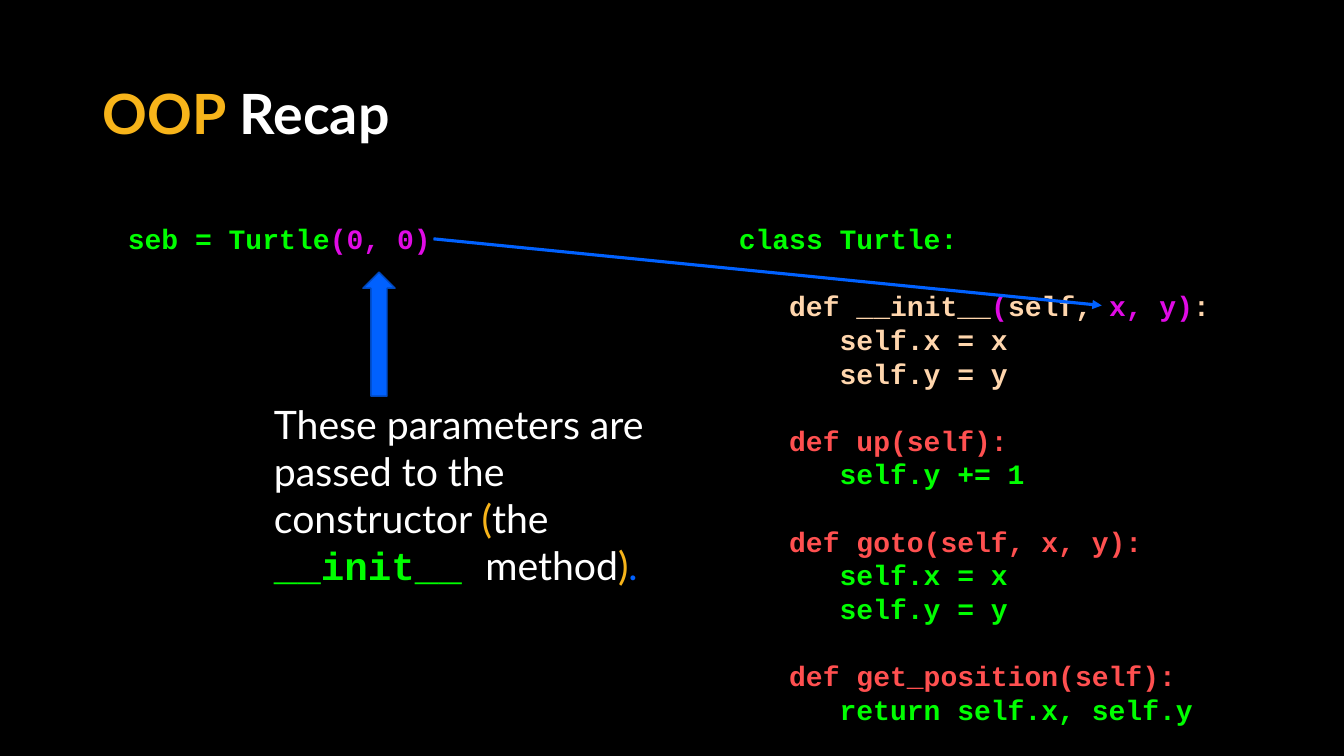
from lxml import etree
from pptx import Presentation
from pptx.dml.color import RGBColor
from pptx.enum.shapes import MSO_CONNECTOR, MSO_SHAPE
from pptx.enum.text import MSO_ANCHOR, PP_ALIGN
from pptx.oxml.ns import qn
from pptx.util import Pt

UP_ARROW = MSO_SHAPE.UP_ARROW
STRAIGHT = MSO_CONNECTOR.STRAIGHT
MIDDLE, TOP = MSO_ANCHOR.MIDDLE, MSO_ANCHOR.TOP
LEFT = PP_ALIGN.LEFT

BLACK, WHITE, AMBER = "000000", "FFFFFF", "F7B41A"
GREEN, MAGENTA, PEACH, RED = "00FF00", "E00BE5", "FFD6AD", "FF5050"
BLUE, DARK_BLUE = "0061FF", "0048BD"
PROSE, CODE = "Lato", "Courier New"

CODE_SIZE, CODE_LINE, CODE_INDENT = 20, 24, 36

# Each line: indent level, blank lines before, runs of text and colour
CALL = [(0, 0, [("seb = Turtle", GREEN), ("(0, 0)", MAGENTA)])]
TURTLE_CLASS = [
    (0, 0, [("class Turtle:", GREEN)]),
    (1, 1, [("def __init__", PEACH), ("(", MAGENTA), ("self, ", PEACH),
            ("x, y)", MAGENTA), (":", PEACH)]),
    (2, 0, [("self.x = x", PEACH)]),
    (2, 0, [("self.y = y", PEACH)]),
    (1, 1, [("def up(self):", RED)]),
    (2, 0, [("self.y += 1", GREEN)]),
    (1, 1, [("def goto(self, x, y):", RED)]),
    (2, 0, [("self.x = x", GREEN)]),
    (2, 0, [("self.y = y", GREEN)]),
    (1, 1, [("def get_position(self):", RED)]),
    (2, 0, [("return self.x, self.y", GREEN)]),
]


def color(hex_text):
    return RGBColor.from_string(hex_text)


def add_span(para, text, hex_text, size, font=PROSE, bold=False):
    span = para.add_run()
    span.text = text
    span.font.name = font
    span.font.size = Pt(size)
    span.font.bold = bold
    span.font.color.rgb = color(hex_text)


def add_box(page, left, top, width, height):
    """Add a wrapping text box and return its text frame."""
    box = page.shapes.add_textbox(Pt(left), Pt(top), Pt(width), Pt(height))
    box.text_frame.word_wrap = True
    box.text_frame.vertical_anchor = TOP
    return box.text_frame


def add_code(page, lines, left, top, width, height):
    frame = add_box(page, left, top, width, height)
    for number, (level, blanks, spans) in enumerate(lines):
        para = frame.add_paragraph() if number else frame.paragraphs[0]
        para.line_spacing = Pt(CODE_LINE)
        para.space_before = Pt(blanks * CODE_LINE)
        para._p.get_or_add_pPr().set("marL", str(Pt(level * CODE_INDENT)))
        for text, hex_text in spans:
            add_span(para, text, hex_text, CODE_SIZE, CODE, True)


def set_title(page):
    title = page.shapes.title
    title.left, title.top = Pt(66), Pt(57.6)
    title.width, title.height = Pt(828), Pt(51.8)
    title.text_frame.vertical_anchor = MIDDLE
    para = title.text_frame.paragraphs[0]
    para.alignment = LEFT
    para.line_spacing = 0.9
    for text, hex_text in [("OOP", AMBER), (" Recap", WHITE)]:
        add_span(para, text, hex_text, 39.6, bold=True)


def add_explanation(page):
    para = add_box(page, 188.6, 282.2, 291.6, 143.3).paragraphs[0]
    for text, hex_text in [
        ("These parameters are passed to the constructor ", WHITE),
        ("(", AMBER),
        ("the ", WHITE),
    ]:
        add_span(para, text, hex_text, 28)
    add_span(para, "__init__ ", GREEN, 28, CODE, True)
    for text, hex_text in [("method", WHITE), (")", AMBER), (".", BLUE)]:
        add_span(para, text, hex_text, 28)


def add_block_arrow(page, left, top, width, height):
    arrow = page.shapes.add_shape(UP_ARROW, Pt(left), Pt(top), Pt(width), Pt(height))
    arrow.shadow.inherit = False
    arrow.fill.solid()
    arrow.fill.fore_color.rgb = color(BLUE)
    arrow.line.color.rgb = color(DARK_BLUE)
    arrow.line.width = Pt(1)


def add_line_arrow(page, start, end):
    arrow = page.shapes.add_connector(STRAIGHT, *map(Pt, start + end))
    arrow.line.color.rgb = color(BLUE)
    arrow.line.width = Pt(2.25)
    etree.SubElement(arrow.line._get_or_add_ln(), qn("a:tailEnd"), type="triangle")
    etree.SubElement(arrow._element.spPr, qn("a:effectLst"))


def main():
    deck = Presentation()
    deck.slide_width, deck.slide_height = Pt(960), Pt(540)
    page = deck.slides.add_slide(deck.slide_layouts.get_by_name("Title Only"))
    page.background.fill.solid()
    page.background.fill.fore_color.rgb = color(BLACK)

    set_title(page)
    add_code(page, CALL, 84.2, 154.8, 349.2, 31.7)
    add_code(page, TURTLE_CLASS, 520.6, 154.8, 373.7, 370.8)
    add_explanation(page)
    add_block_arrow(page, 259.2, 194.4, 23, 88.6)
    add_line_arrow(page, (309.6, 170.6), (787, 218.2))
    deck.save("out.pptx")


if __name__ == "__main__":
    main()
